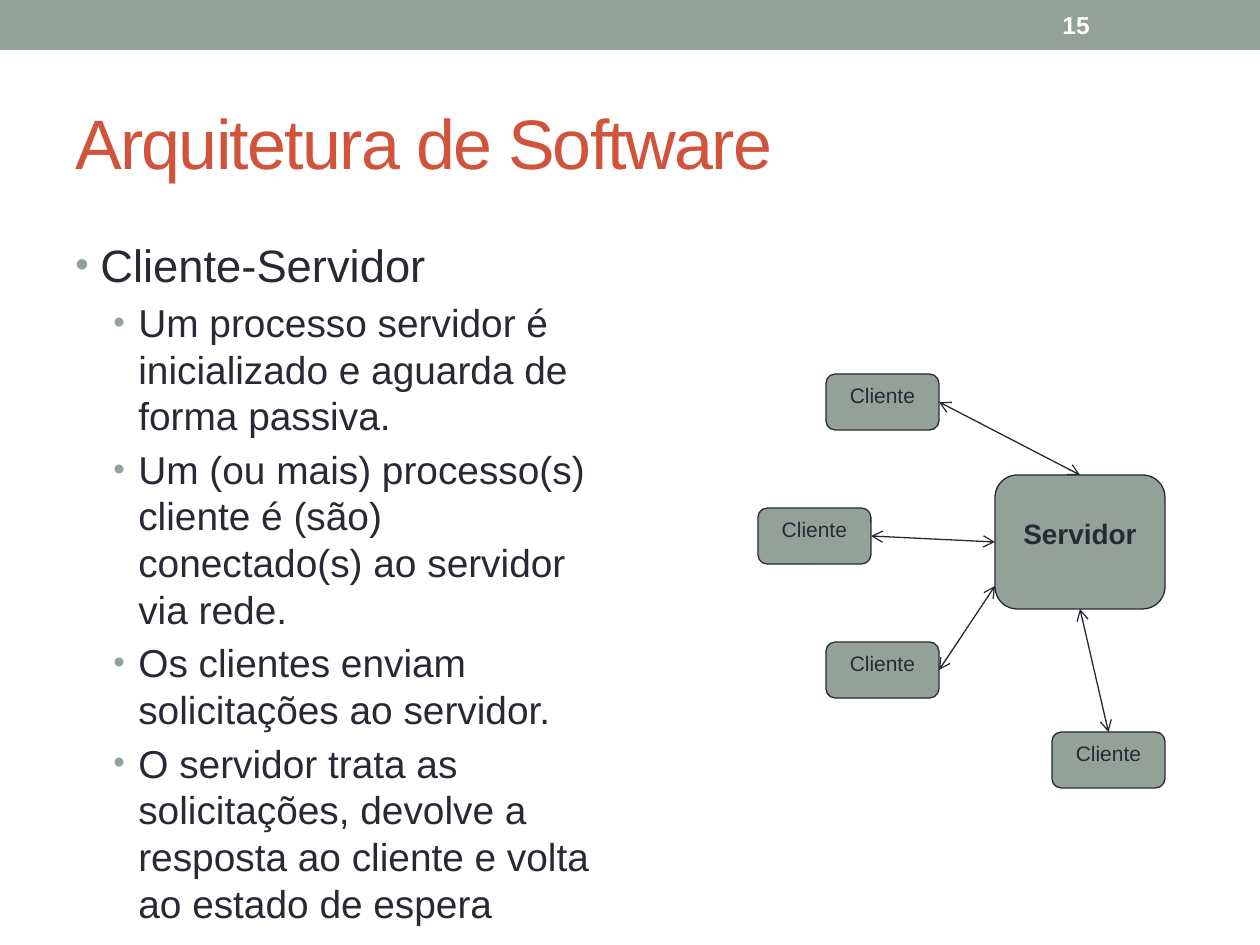
from lxml import etree
from pptx import Presentation
from pptx.dml.color import RGBColor
from pptx.enum.shapes import MSO_CONNECTOR, MSO_SHAPE
from pptx.enum.text import MSO_ANCHOR, PP_ALIGN
from pptx.oxml.ns import qn
from pptx.util import Emu, Pt

RECTANGLE = MSO_SHAPE.RECTANGLE
ROUNDED = MSO_SHAPE.ROUNDED_RECTANGLE
STRAIGHT = MSO_CONNECTOR.STRAIGHT
TOP, MIDDLE = MSO_ANCHOR.TOP, MSO_ANCHOR.MIDDLE
CENTER = PP_ALIGN.CENTER
SITE_TOP, SITE_LEFT, SITE_BOTTOM, SITE_RIGHT = range(4)

PX_PER_INCH = 126
COLORS = {"sage": "93A299", "ink": "292934", "title": "D2533C", "white": "FFFFFF"}
FONT = "Arial"

POINTS = [
    "Um processo servidor é inicializado e aguarda de forma passiva.",
    "Um (ou mais) processo(s) cliente é (são) conectado(s) ao servidor via rede.",
    "Os clientes enviam solicitações ao servidor.",
    "O servidor trata as solicitações, devolve a resposta ao cliente e volta "
    "ao estado de espera",
]
CLIENT_SIZE = (113, 56)
CLIENT_CORNERS = [(826, 374), (758, 508), (826, 642), (1052, 732)]


def px(length):
    return Emu(round(length * 914400 / PX_PER_INCH))


def color(name):
    return RGBColor.from_string(COLORS[name])


class SlideBuilder:
    """Holds the current slide and draws each kind of element in one style."""

    def __init__(self, page):
        self.page = page

    def style(self, para, size, tint, bold=False):
        para.font.name = FONT
        para.font.size = Pt(size)
        para.font.bold = bold
        para.font.color.rgb = color(tint)

    def text_box(self, left, top, width, height, anchor=TOP):
        box = self.page.shapes.add_textbox(px(left), px(top), px(width), px(height))
        box.text_frame.word_wrap = True
        box.text_frame.vertical_anchor = anchor
        return box.text_frame

    def label(self, text, area, size, tint, bold=False, spacing=0):
        """Draw one vertically centred line; spacing is in points per letter."""
        para = self.text_box(*area, anchor=MIDDLE).paragraphs[0]
        span = para.add_run()
        span.text = text
        self.style(para, size, tint, bold)
        if spacing:
            span.font._element.set("spc", str(spacing * 100))

    def bullet(self, para, text, size, indent, level=0):
        para.text = text
        para.level = level
        para.space_before = Pt(4)
        self.style(para, size, "ink")
        properties = para._p.get_or_add_pPr()
        properties.set("marL", str(px(indent)))
        properties.set("indent", str(px(-25)))
        marker = etree.Element(qn("a:buClr"))
        etree.SubElement(marker, qn("a:srgbClr"), val=COLORS["sage"])
        parts = [
            marker,
            etree.Element(qn("a:buSzPct"), val="85000"),
            etree.Element(qn("a:buFont"), typeface=FONT),
            etree.Element(qn("a:buChar"), char="•"),
        ]
        position = properties.index(properties.find(qn("a:defRPr")))
        properties[position:position] = parts

    def filled(self, kind, left, top, width, height):
        shape = self.page.shapes.add_shape(
            kind, px(left), px(top), px(width), px(height))
        shape.shadow.inherit = False
        shape.fill.solid()
        shape.fill.fore_color.rgb = color("sage")
        shape.line.fill.background()
        return shape

    def node(self, text, left, top, width, height, size, bold=False, inset=6):
        shape = self.filled(ROUNDED, left, top, width, height)
        shape.line.color.rgb = color("ink")
        shape.line.width = Pt(0.75)
        frame = shape.text_frame
        frame.vertical_anchor = TOP
        frame.margin_top = px(inset)
        para = frame.paragraphs[0]
        para.text = text
        para.alignment = CENTER
        self.style(para, size, "ink", bold)
        return shape

    def arrow(self, source, source_site, target=None, target_site=None, end=(0, 0)):
        """Join two nodes; without a target the arrow stops at end."""
        line = self.page.shapes.add_connector(STRAIGHT, 0, 0, px(end[0]), px(end[1]))
        line.begin_connect(source, source_site)
        if target is not None:
            line.end_connect(target, target_site)
        line.line.color.rgb = color("ink")
        line.line.width = Pt(0.75)
        stroke = line.line._get_or_add_ln()
        for tag in ("a:headEnd", "a:tailEnd"):
            etree.SubElement(stroke, qn(tag), type="arrow")
        etree.SubElement(line._element.spPr, qn("a:effectLst"))


def main():
    deck = Presentation()
    deck.slide_width, deck.slide_height = px(1260), px(945)
    builder = SlideBuilder(deck.slides.add_slide(deck.slide_layouts[6]))

    builder.filled(RECTANGLE, 0, 0, 1260, 50)
    builder.label("Arquitetura de Software", (63, 73, 1134, 136), 40, "title",
                  spacing=-1)

    body = builder.text_box(63, 231, 557, 650)
    builder.bullet(body.paragraphs[0], "Cliente-Servidor", 25.9, 25)
    for point in POINTS:
        builder.bullet(body.add_paragraph(), point, 22.2, 63, level=1)

    server = builder.node("Servidor", 995, 475, 170, 134, 16, bold=True, inset=35)
    upper, middle, lower, bottom = [
        builder.node("Cliente", *corner, *CLIENT_SIZE, 12)
        for corner in CLIENT_CORNERS
    ]
    builder.arrow(upper, SITE_RIGHT, server, SITE_TOP)
    builder.arrow(middle, SITE_RIGHT, server, SITE_LEFT)
    builder.arrow(bottom, SITE_TOP, server, SITE_BOTTOM)
    builder.arrow(lower, SITE_RIGHT, end=(995, 586))

    builder.label("15", (1050, 2, 147, 45), 14, "white", bold=True)
    deck.save("out.pptx")


if __name__ == "__main__":
    main()
